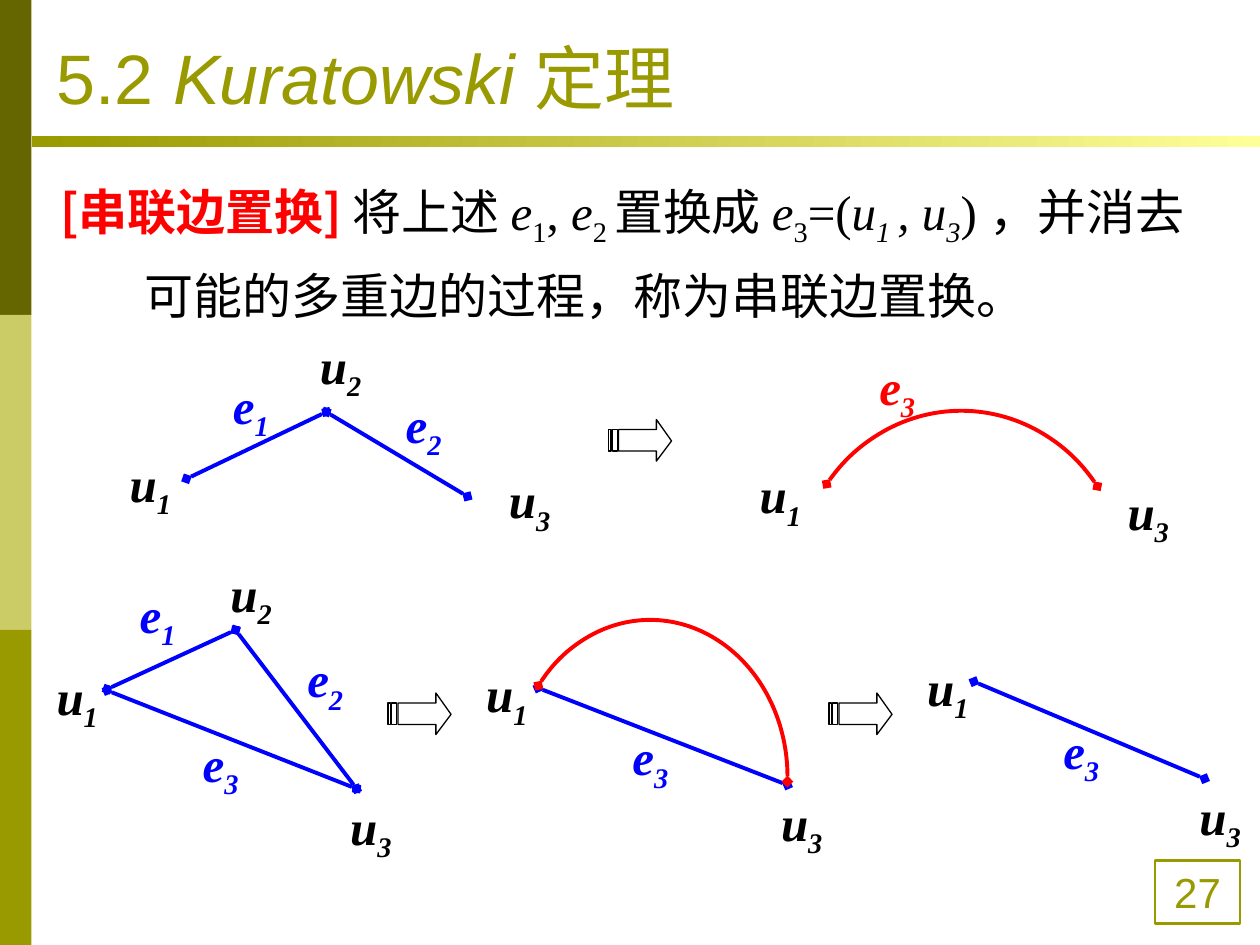
"""Build a slide on series edge replacement from the Kuratowski theorem section."""
from lxml.etree import SubElement
from pptx import Presentation
from pptx.dml.color import RGBColor
from pptx.enum.shapes import MSO_CONNECTOR, MSO_SHAPE
from pptx.enum.text import MSO_ANCHOR, PP_ALIGN
from pptx.oxml.ns import qn
from pptx.util import Inches, Pt

OLIVE, BLUE, RED, BLACK = "999900", "0000FF", "FF0000", "000000"
SERIF, SANS, HAN = "Times New Roman", "Arial", "Noto Sans CJK SC"


def write(text, x, y, w, h, size=28, font=SERIF, color=BLACK, bold=False,
          align=PP_ALIGN.LEFT, anchor=MSO_ANCHOR.TOP, hang=0, space=1.0):
    """Add a text box; text is a list of (words, marks), i italic, s sub, k key."""
    box = slide.shapes.add_textbox(Inches(x), Inches(y), Inches(w), Inches(h))
    frame = box.text_frame
    frame.word_wrap = True
    frame.vertical_anchor = anchor
    par = frame.paragraphs[0]
    par.alignment = align
    par.line_spacing = space
    if hang:
        par._p.get_or_add_pPr().set("marL", str(Inches(hang)))
        par._p.get_or_add_pPr().set("indent", str(-Inches(hang)))
    for words, marks in text:
        run = par.add_run()
        run.text = words
        key = "k" in marks
        run.font.size = Pt(size)
        run.font.name = HAN if key else font
        run.font.bold = bold or key
        run.font.italic = "i" in marks
        run.font.color.rgb = RGBColor.from_string(RED if key else color)
        props = run._r.get_or_add_rPr()
        if "s" in marks:
            props.set("baseline", "-25000")
        far = SubElement(props, qn("a:ea"))
        far.set("typeface", HAN)
    return box


def stroke(shape, color, width=2.25, ends=True):
    """Set the line of a shape, with diamond ends on request, and drop its shadow."""
    shape.line.color.rgb = RGBColor.from_string(color)
    shape.line.width = Pt(width)
    if ends:
        line = shape.line._get_or_add_ln()
        for tag in ("a:headEnd", "a:tailEnd"):
            SubElement(line, qn(tag)).set("type", "diamond")
    SubElement(shape._element.spPr, qn("a:effectLst"))


deck = Presentation()
deck.slide_width, deck.slide_height = Inches(10), Inches(7.5)
slide = deck.slides.add_slide(deck.slide_layouts[6])

for row, color in enumerate(["666600", "CCCC66", OLIVE]):
    band = slide.shapes.add_shape(
        MSO_SHAPE.RECTANGLE, 0, Inches(2.5 * row), Inches(0.25), Inches(2.5))
    band.shadow.inherit = False
    band.fill.solid()
    band.fill.fore_color.rgb = RGBColor.from_string(color)
    band.line.fill.background()

rule = slide.shapes.add_shape(
    MSO_SHAPE.RECTANGLE, Inches(0.25), Inches(1.08), Inches(9.75), Inches(0.09))
rule.shadow.inherit = False
rule.line.fill.background()
rule.fill.gradient()
rule.fill.gradient_angle = 0
for stop, (place, color) in zip(rule.fill.gradient_stops, [(0, OLIVE), (1, "FFFF99")]):
    stop.position = place
    stop.color.rgb = RGBColor.from_string(color)

page = write([("27", "")], 9.17, 6.83, 0.67, 0.5, size=24, font=SANS, color=OLIVE,
             align=PP_ALIGN.CENTER, anchor=MSO_ANCHOR.MIDDLE)
stroke(page, OLIVE, 1.25, ends=False)

write([("5.2 ", ""), ("Kuratowski ", "i"), ("定理", "")], 0.35, 0.13, 9, 0.86,
      size=40, font=SANS, color=OLIVE, anchor=MSO_ANCHOR.BOTTOM)
write([("[串联边置换] ", "k"), ("将上述 ", ""), ("e", "i"), ("1", "s"), (", ", ""),
       ("e", "i"), ("2 ", "s"), ("置换成 ", ""), ("e", "i"), ("3", "s"), ("=(", ""),
       ("u", "i"), ("1 ", "is"), (", u", "i"), ("3", "is"),
       (") ，并消去可能的多重边的过程，称为串联边置换。", "")],
      0.38, 1.23, 9.37, 1.4, hang=0.67, space=1.3)

edges = [
    (1.48, 3.8, 2.59, 3.27), (2.59, 3.27, 3.71, 3.94),
    (0.85, 5.47, 1.87, 5), (1.87, 5, 2.83, 6.26), (0.85, 5.48, 2.83, 6.26),
    (4.27, 5.46, 6.25, 6.23), (7.73, 5.41, 9.56, 6.18),
]
for edge in edges:
    link = slide.shapes.add_connector(MSO_CONNECTOR.STRAIGHT, *map(Inches, edge))
    stroke(link, BLUE)

arcs = [(6.31, 3.26, 2.64, 2.82, 217.8, 323.1), (4.07, 4.92, 2.18, 2.49, 219.2, 2)]
for *area, start, end in arcs:
    arc = slide.shapes.add_shape(MSO_SHAPE.ARC, *map(Inches, area))
    arc.adjustments[0] = start * 0.6
    arc.adjustments[1] = end * 0.6
    arc.fill.background()
    stroke(arc, RED)

labels = [
    ("e1", 1.75, 2.93, BLUE), ("e2", 3.12, 3.08, BLUE), ("u1", 0.93, 3.55, BLACK),
    ("u2", 2.44, 2.61, BLACK), ("u3", 3.94, 3.68, BLACK),
    ("e3", 6.88, 2.78, RED), ("u1", 5.93, 3.64, BLACK), ("u3", 8.85, 3.77, BLACK),
    ("e1", 1.01, 4.59, BLUE), ("e2", 2.34, 5.1, BLUE), ("e3", 1.51, 5.77, BLUE),
    ("u1", 0.35, 5.24, BLACK), ("u2", 1.73, 4.42, BLACK), ("u3", 2.68, 6.27, BLACK),
    ("u1", 3.76, 5.22, BLACK), ("u3", 6.1, 6.24, BLACK), ("e3", 4.92, 5.72, BLUE),
    ("u1", 7.26, 5.17, BLACK), ("u3", 9.42, 6.19, BLACK), ("e3", 8.34, 5.67, BLUE),
]
for (name, index), x, y, color in labels:
    write([(name, "i"), (index, "is")], x, y, 0.58, 0.63, color=color, bold=True)

parts = [[(8, 8), (38, 8), (38, 0), (50, 17), (38, 33), (38, 25), (8, 25)]]
for a, b in [(0, 2), (3, 7)]:
    parts.append([(a, 8), (b, 8), (b, 25), (a, 25)])
for x, y in [(3.08, 5.5), (6.58, 5.5), (4.83, 3.33)]:
    pen = slide.shapes.build_freeform(*parts[0][0], scale=Inches(0.01))
    pen.add_line_segments(parts[0][1:], close=True)
    for part in parts[1:]:
        pen.move_to(*part[0])
        pen.add_line_segments(part[1:], close=True)
    arrow = pen.convert_to_shape(Inches(x), Inches(y))
    arrow.fill.background()
    stroke(arrow, BLACK, 0.75, ends=False)

deck.save("out.pptx")
